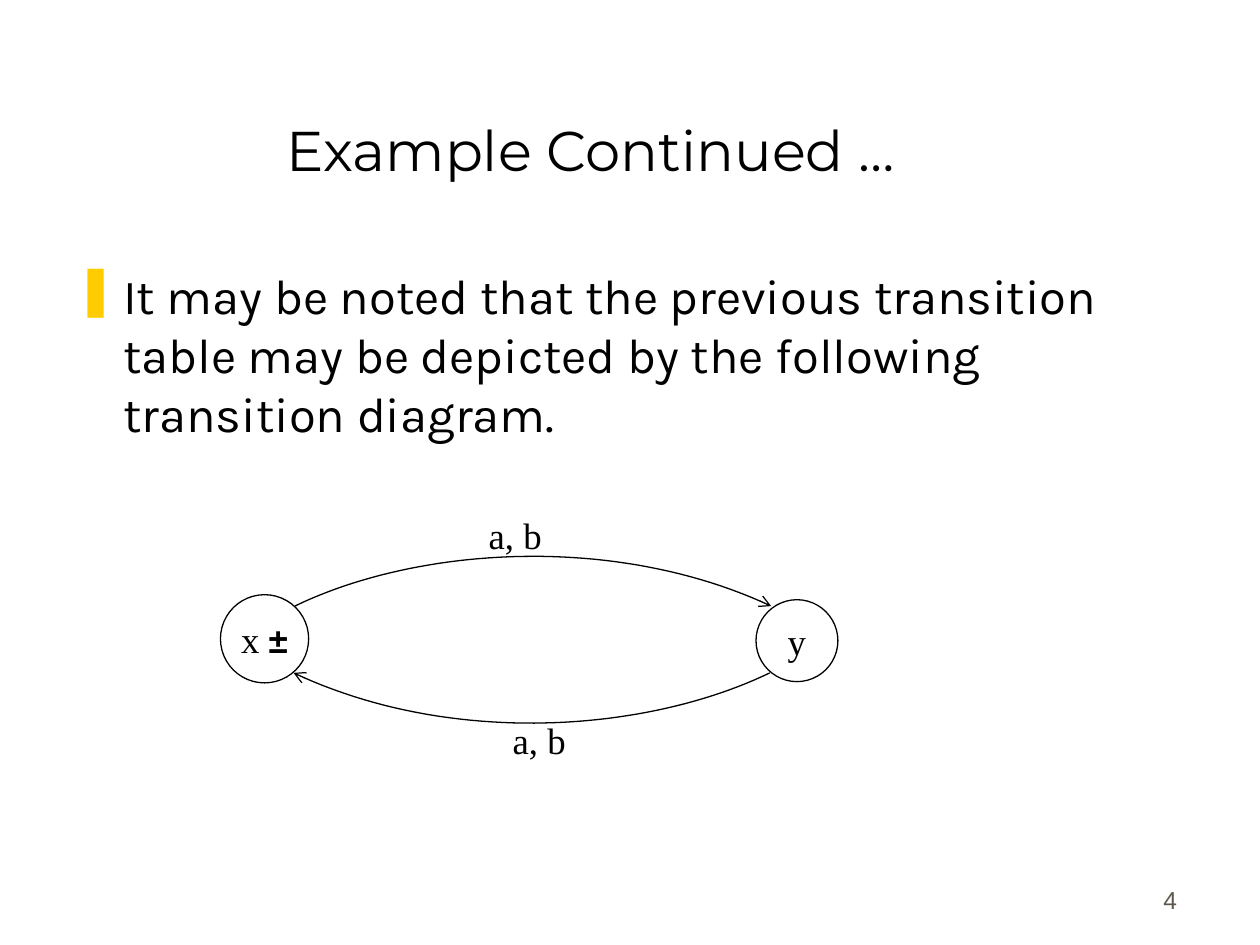
from lxml import etree
from pptx import Presentation
from pptx.dml.color import RGBColor
from pptx.enum.shapes import MSO_SHAPE
from pptx.enum.text import MSO_ANCHOR, PP_ALIGN
from pptx.oxml.ns import qn
from pptx.util import Inches, Pt

BLACK, WHITE, YELLOW, GREY = "000000", "FFFFFF", "FFCC00", "5E574E"
SERIF = "Times New Roman"
CURVE_STEPS = 48


def color(hex_value):
    return RGBColor.from_string(hex_value)


def bezier(start, control1, control2, end, t):
    """Return the point of a cubic curve at t, from 0 to 1."""
    weights = ((1 - t) ** 3, 3 * t * (1 - t) ** 2, 3 * t ** 2 * (1 - t), t ** 3)
    points = (start, control1, control2, end)
    return tuple(sum(w * p[axis] for w, p in zip(weights, points)) for axis in (0, 1))


class DiagramSlide:
    line_width = Pt(0.75)

    def __init__(self, presentation):
        self.slide = presentation.slides.add_slide(presentation.slide_layouts[5])
        self.shapes = self.slide.shapes

    def style_font(self, font, size, name, hex_value=BLACK, bold=False):
        font.size, font.name, font.bold = Pt(size), name, bold
        font.color.rgb = color(hex_value)

    def style_outline(self, shape):
        shape.shadow.inherit = False
        shape.line.color.rgb = color(BLACK)
        shape.line.width = self.line_width

    def title(self, text, left, top, width, height):
        title = self.shapes.title
        title.left, title.top = Inches(left), Inches(top)
        title.width, title.height = Inches(width), Inches(height)
        title.text_frame.vertical_anchor = MSO_ANCHOR.BOTTOM
        title.text_frame.text = text
        paragraph = title.text_frame.paragraphs[0]
        paragraph.alignment = PP_ALIGN.CENTER
        self.style_font(paragraph.font, 32, "Montserrat")

    def text(self, text, left, top, width, height, size, name, hex_value=BLACK,
             anchor=MSO_ANCHOR.TOP, align=PP_ALIGN.LEFT, space_before=0):
        box = self.shapes.add_textbox(*map(Inches, (left, top, width, height)))
        frame = box.text_frame
        frame.word_wrap = True
        frame.vertical_anchor = anchor
        frame.text = text
        paragraph = frame.paragraphs[0]
        paragraph.alignment = align
        paragraph.space_before = Pt(space_before)
        self.style_font(paragraph.font, size, name, hex_value)
        return paragraph

    def bullet(self, paragraph, character, hex_value, indent):
        properties = paragraph._p.get_or_add_pPr()
        properties.set("marL", str(Inches(indent)))
        properties.set("indent", str(-Inches(indent)))
        mark = etree.Element(qn("a:buChar"), char=character)
        bullet_color = etree.Element(qn("a:buClr"))
        etree.SubElement(bullet_color, qn("a:srgbClr"), val=hex_value)
        default_run = properties.find(qn("a:defRPr"))
        default_run.addprevious(bullet_color)
        default_run.addprevious(mark)

    def state(self, runs, left, top, diameter):
        """Draw a state circle; runs are (text, size, font, bold)."""
        circle = self.shapes.add_shape(
            MSO_SHAPE.OVAL, *map(Inches, (left, top, diameter, diameter)))
        circle.fill.solid()
        circle.fill.fore_color.rgb = color(WHITE)
        self.style_outline(circle)
        frame = circle.text_frame
        frame.word_wrap = False
        frame.margin_left = frame.margin_right = 0
        frame.margin_top = frame.margin_bottom = 0
        frame.vertical_anchor = MSO_ANCHOR.MIDDLE
        paragraph = frame.paragraphs[0]
        paragraph.alignment = PP_ALIGN.CENTER
        for text, size, name, bold in runs:
            run = paragraph.add_run()
            run.text = text
            self.style_font(run.font, size, name, bold=bold)

    def transition(self, *curve):
        """Draw a curved arrow through four cubic control points."""
        points = [tuple(map(Inches, bezier(*curve, step / CURVE_STEPS)))
                  for step in range(CURVE_STEPS + 1)]
        builder = self.shapes.build_freeform(*points[0])
        builder.add_line_segments(points[1:], close=False)
        arrow = builder.convert_to_shape()
        arrow.fill.background()
        self.style_outline(arrow)
        etree.SubElement(arrow.line._get_or_add_ln(), qn("a:tailEnd"), type="arrow")


def main():
    presentation = Presentation()
    presentation.slide_width, presentation.slide_height = Inches(10), Inches(7.5)
    page = DiagramSlide(presentation)

    page.text("4", 7.36, 6.81, 2.08, 0.5, 14, "Arial", GREY,
              MSO_ANCHOR.BOTTOM, PP_ALIGN.RIGHT)
    page.title("Example Continued …", 0.44, 0.25, 8.5, 1.25)
    statement = page.text(
        "It may be noted that the previous transition table may be depicted "
        "by the following transition diagram.",
        0.5, 2.06, 8.94, 4.56, 28, "Karla", space_before=7)
    page.bullet(statement, "❚", YELLOW, 0.38)

    page.state([("y", 21, SERIF, False)], 6, 4.76, 0.65)
    page.state([("x ", 21, SERIF, False), ("±", 20, "Arial", True)], 1.75, 4.72, 0.7)

    page.transition((2.34, 4.81), (3.31, 4.34), (4.88, 4.23), (6.12, 4.81))
    page.transition((6.11, 5.34), (5.14, 5.81), (3.58, 5.93), (2.33, 5.34))
    for left, top in ((3.78, 4.02), (3.97, 5.65)):
        page.text("a, b", left, top, 0.98, 0.68, 21, SERIF)

    presentation.save("out.pptx")


if __name__ == "__main__":
    main()
